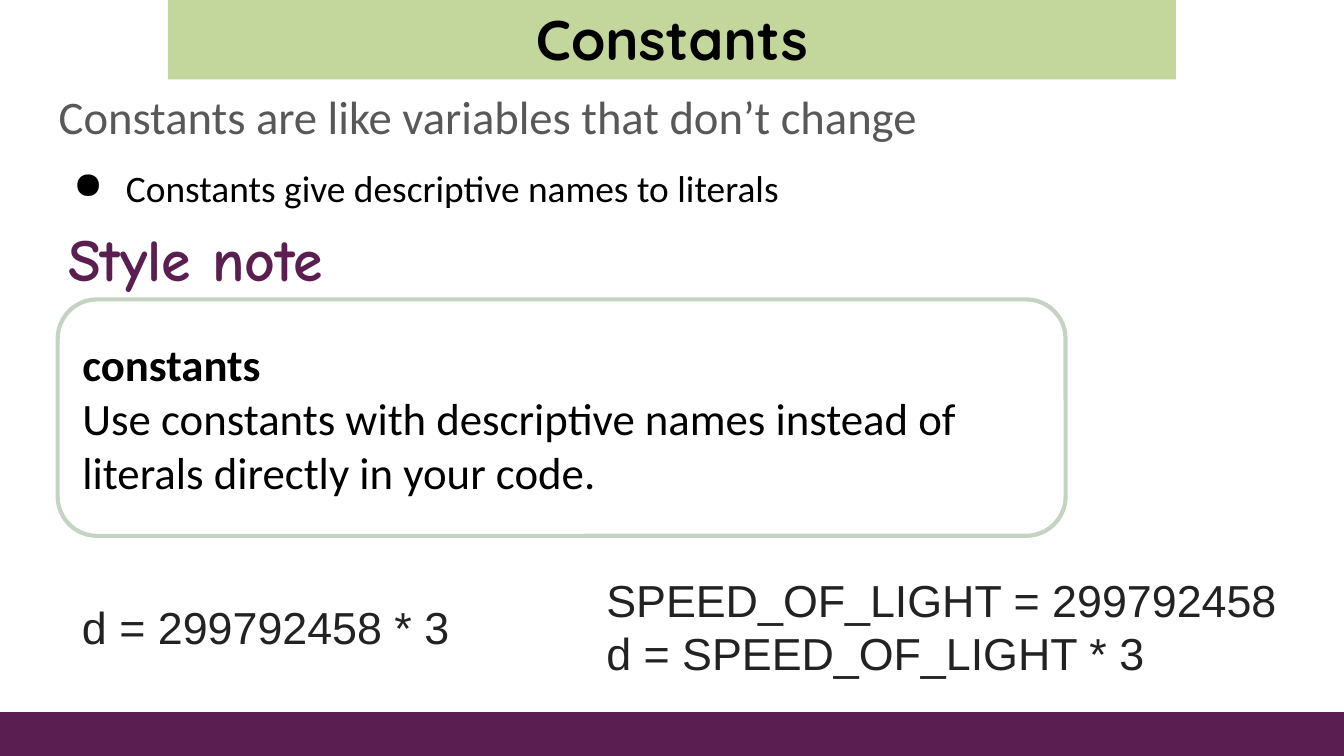
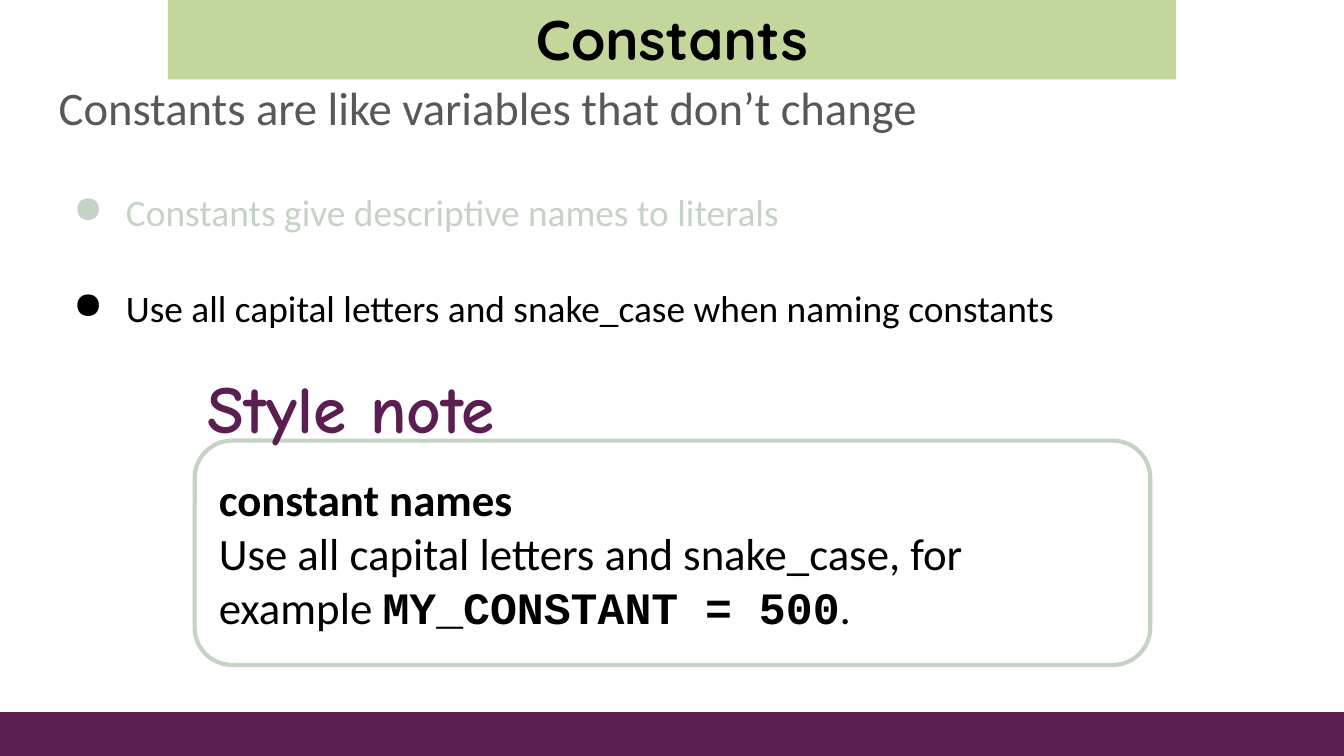
from lxml.etree import SubElement
from pptx import Presentation
from pptx.dml.color import RGBColor
from pptx.enum.shapes import MSO_SHAPE
from pptx.enum.text import MSO_ANCHOR, PP_ALIGN
from pptx.oxml.ns import qn
from pptx.util import Cm, Pt

COLORS = {"purple": "5A1E50", "green": "C3D69B", "sage": "C5D3C4",
          "gray": "585858", "black": "000000", "code": "222222"}

STYLES = {
    "band": {"name": "Quicksand", "size": 30, "bold": True, "color": "black"},
    "title": {"name": "Calibri", "size": 25, "color": "gray"},
    "bullet": {"name": "Calibri", "size": 20, "color": "black"},
    "past": {"name": "Calibri", "size": 20, "color": "sage"},
    "heading": {"name": "Comic Neue", "bold": True, "color": "purple"},
    "note": {"name": "Calibri", "size": 24, "color": "black"},
    "term": {"name": "Calibri", "size": 24, "bold": True, "color": "black"},
    "mono": {"name": "Courier New", "size": 24, "bold": True, "color": "black"},
    "code": {"name": "Arial", "size": 24, "color": "code"},
}

WIDTH, HEIGHT = 25.4, 14.29
BAND_W, FOOTER_H = 19.05, 0.83
BODY_X, BODY_W = 0.86, 23.67
BAND_TEXT = "Constants"
TITLE = "Constants are like variables that don’t change"
HEADING = "Style note"

# Boxes are (left, top, width, height) in cm; a paragraph is a list of (text, style).
SLIDES = [
    {
        "title_top": 1.42,
        "bullets_top": 2.74,
        "bullets": [[("Constants give descriptive names to literals", "bullet")]],
        "heading": ((1.04, 3.94, 6.91, 1.85), 32),
        "note_box": (1.09, 5.66, 19.05, 4.47),
        "note": [
            [("constants", "term")],
            [("Use constants with descriptive names instead of literals "
              "directly in your code.", "note")],
        ],
        "code": [
            ((1.42, 11.2, 7.24, 1.22), ["d = 299792458 * 3"]),
            ((11.33, 10.69, 12.95, 2.21),
             ["SPEED_OF_LIGHT = 299792458", "d = SPEED_OF_LIGHT * 3"]),
        ],
    },
    {
        "title_top": 1.24,
        "bullets_top": 3.2,
        "bullets": [
            [("Constants give descriptive names to literals", "past")],
            [("Use all capital letters and snake_case when naming constants", "bullet")],
        ],
        "heading": ((3.68, 6.68, 6.91, 2.03), 36),
        "note_box": (3.68, 8.33, 18.06, 4.24),
        "note": [
            [("constant names", "term")],
            [("Use all capital letters and snake_case, for example ", "note"),
             ("MY_CONSTANT = 500", "mono"), (".", "note")],
        ],
        "code": [],
    },
]


def rgb(name):
    return RGBColor.from_string(COLORS[name])


def set_font(font, style, size=None):
    fmt = {"bold": False, **STYLES[style]}
    fmt["size"] = Pt(size or fmt["size"])
    font.color.rgb = rgb(fmt.pop("color"))
    for key, value in fmt.items():
        setattr(font, key, value)


def write(sp, paragraphs, inset=0.25, size=None, wrap=True,
          anchor=MSO_ANCHOR.TOP, align=PP_ALIGN.LEFT):
    """Fill a shape with paragraphs, each a list of (text, style) runs."""
    tf = sp.text_frame
    tf.word_wrap = wrap
    tf.vertical_anchor = anchor
    for side in ("left", "top", "right", "bottom"):
        setattr(tf, f"margin_{side}", Cm(inset))
    for i, runs in enumerate(paragraphs):
        p = tf.paragraphs[0] if i == 0 else tf.add_paragraph()
        p.alignment = align
        for text, style in runs:
            r = p.add_run()
            r.text = text
            set_font(r.font, style, size)
    return tf


def add_text(slide, box, paragraphs, **options):
    sp = slide.shapes.add_textbox(*map(Cm, box))
    return write(sp, paragraphs, **options)


def add_box(slide, kind, box, fill=None, line=None):
    sp = slide.shapes.add_shape(kind, *map(Cm, box))
    sp.shadow.inherit = False
    if fill:
        sp.fill.solid()
        sp.fill.fore_color.rgb = rgb(fill)
    else:
        sp.fill.background()
    if line:
        sp.line.color.rgb = rgb(line)
        sp.line.width = Pt(2.25)
    else:
        sp.line.fill.background()
    return sp


def add_bullets(slide, top, bullets):
    tf = add_text(slide, (BODY_X, top, BODY_W, 9.5), bullets)
    for i, (p, runs) in enumerate(zip(tf.paragraphs, bullets)):
        p.line_spacing = 1.15
        if i:
            p.space_before = Pt(24)
        pPr = p._p.get_or_add_pPr()
        pPr.set("marL", str(Cm(1.27)))
        pPr.set("indent", str(-Cm(0.99)))
        color = SubElement(pPr, qn("a:buClr"))
        SubElement(color, qn("a:srgbClr"), val=COLORS[STYLES[runs[0][1]]["color"]])
        SubElement(pPr, qn("a:buChar"), char="●")


def add_frame(slide, title_top):
    """Footer, title and top band, which every slide has."""
    add_box(slide, MSO_SHAPE.RECTANGLE,
            (0, HEIGHT - FOOTER_H, WIDTH, FOOTER_H), fill="purple")
    add_text(slide, (BODY_X, title_top, BODY_W, 1.6), [[(TITLE, "title")]])
    band = add_box(slide, MSO_SHAPE.RECTANGLE,
                   ((WIDTH - BAND_W) / 2, -0.05, BAND_W, 1.55), fill="green")
    write(band, [[(BAND_TEXT, "band")]], inset=0.1,
          anchor=MSO_ANCHOR.MIDDLE, align=PP_ALIGN.CENTER)


def add_note(slide, box, paragraphs):
    sp = add_box(slide, MSO_SHAPE.ROUNDED_RECTANGLE, box, line="sage")
    write(sp, paragraphs, anchor=MSO_ANCHOR.MIDDLE)


def main():
    prs = Presentation()
    prs.slide_width, prs.slide_height = Cm(WIDTH), Cm(HEIGHT)
    for content in SLIDES:
        slide = prs.slides.add_slide(prs.slide_layouts[6])
        add_frame(slide, content["title_top"])
        add_bullets(slide, content["bullets_top"], content["bullets"])
        add_note(slide, content["note_box"], content["note"])
        box, size = content["heading"]
        add_text(slide, box, [[(HEADING, "heading")]], size=size)
        for box, lines in content["code"]:
            add_text(slide, box, [[(line, "code")] for line in lines],
                     inset=0.13, wrap=False)
    prs.save("out.pptx")


if __name__ == "__main__":
    main()
